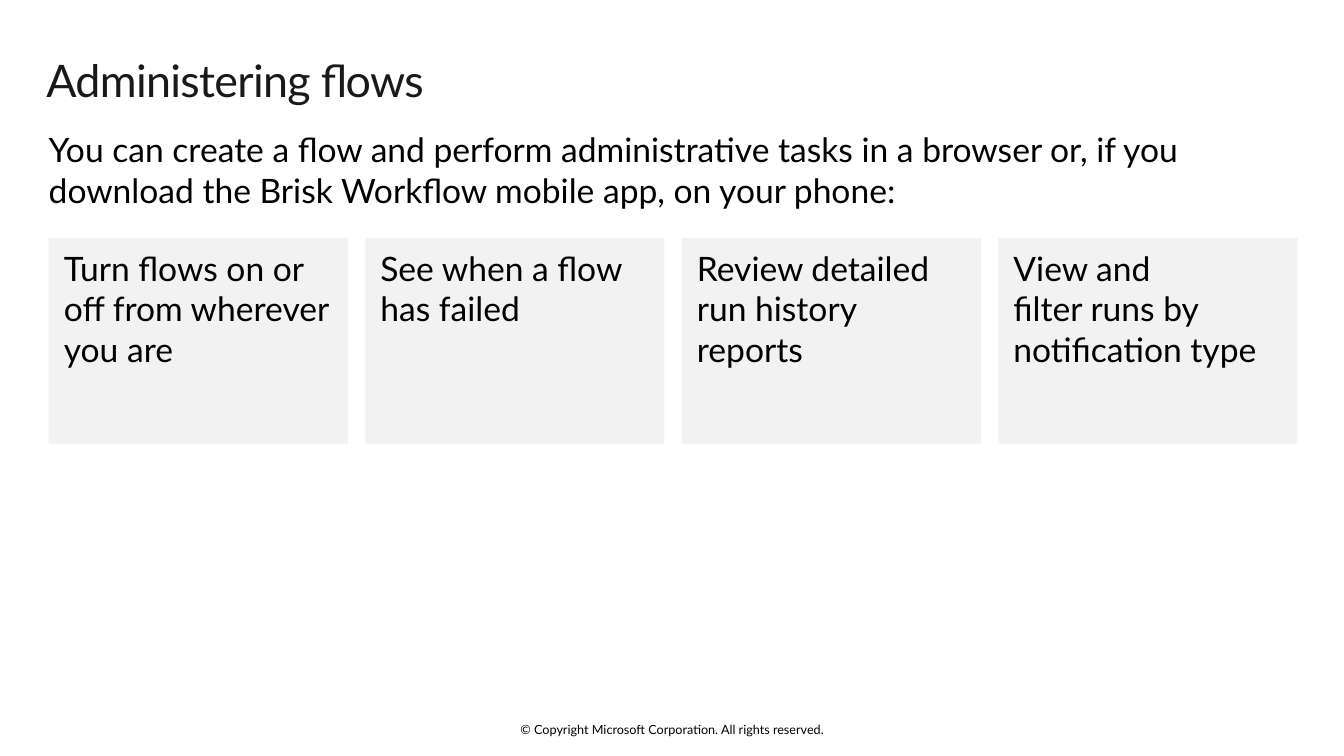
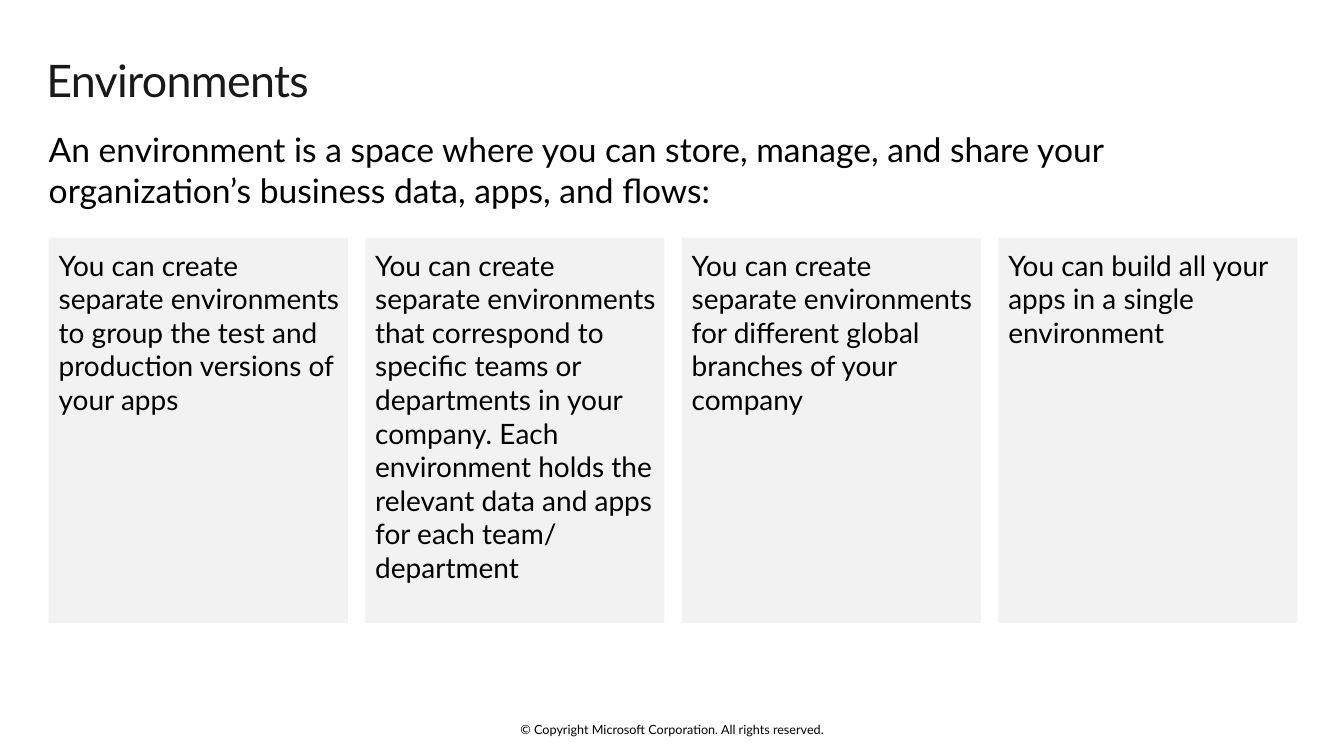
import pptx
import pptx.dml.color
import pptx.enum.shapes
import pptx.enum.text
import pptx.util

Pt = pptx.util.Pt
ALIGN = pptx.enum.text.PP_ALIGN
ANCHOR = pptx.enum.text.MSO_ANCHOR


def rgb(value):
    return pptx.dml.color.RGBColor.from_string(value)


def write(box, text, *, size, color="000000", align=ALIGN.LEFT, anchor=ANCHOR.TOP,
          insets=(0, 0, 0, 0), after=0, line=None, tracking=None):
    frame = box.text_frame
    frame.word_wrap = True
    frame.auto_size = pptx.enum.text.MSO_AUTO_SIZE.NONE
    frame.vertical_anchor = anchor
    (frame.margin_left, frame.margin_top,
     frame.margin_right, frame.margin_bottom) = map(Pt, insets)
    para = frame.paragraphs[0]
    para.text = text
    para.alignment = align
    para.space_before = Pt(0)
    para.space_after = Pt(after)
    if line:
        para.line_spacing = line
    for span in para.runs:
        span.font.name = "Lato"
        span.font.size = Pt(size)
        span.font.color.rgb = rgb(color)
        if tracking is not None:
            span._r.get_or_add_rPr().set("spc", str(round(tracking * 100)))


class Deck:
    LEFT = 34.8
    WIDTH = 892
    GAP = 12.4
    CARD_TOP = 170
    CARD_FILL = "F2F2F2"
    TITLE_COLOR = "191919"
    FOOTER = "© Copyright Microsoft Corporation. All rights reserved."

    def __init__(self):
        self.deck = pptx.Presentation()
        self.deck.slide_width = Pt(960)
        self.deck.slide_height = Pt(540)
        self.page = None

    def add_page(self, title):
        self.page = self.deck.slides.add_slide(self.deck.slide_layouts[5])
        box = self.page.shapes.title
        box.left, box.top, box.width, box.height = map(Pt, (33.1, 34.6, 893, 53.3))
        write(box, title, size=32, color=self.TITLE_COLOR, insets=(0, 7.2, 11.5, 7.2),
              line=0.9, tracking=-0.5)
        self.add_text(self.FOOTER, 318, 515.5, 324, 11, size=9,
                      align=ALIGN.CENTER, anchor=ANCHOR.MIDDLE)

    def add_text(self, text, left, top, width, height, **style):
        box = self.page.shapes.add_textbox(*map(Pt, (left, top, width, height)))
        write(box, text, **style)

    def add_intro(self, text):
        self.add_text(text, self.LEFT, 92.2, self.WIDTH, 58.3, size=24)

    def add_cards(self, texts, height, **style):
        width = (self.WIDTH - self.GAP * (len(texts) - 1)) / len(texts)
        for index, text in enumerate(texts):
            left = self.LEFT + index * (width + self.GAP)
            card = self.page.shapes.add_shape(
                pptx.enum.shapes.MSO_SHAPE.RECTANGLE,
                *map(Pt, (left, self.CARD_TOP, width, height)))
            card.shadow.inherit = False
            card.fill.solid()
            card.fill.fore_color.rgb = rgb(self.CARD_FILL)
            card.line.fill.background()
            write(card, text, after=5.9, **style)

    def save(self):
        self.deck.save("out.pptx")


def main():
    deck = Deck()

    deck.add_page("Administering flows")
    deck.add_intro("You can create a flow and perform administrative tasks in a browser or, "
                   "if you download the Brisk Workflow mobile app, on your phone:")
    deck.add_cards([
        "Turn flows on or off from wherever you are",
        "See when a flow has failed",
        "Review detailed run history reports",
        "View and\vfilter runs by notification type",
    ], 147, size=24, insets=(10.8, 7.2, 10.8, 7.2))

    deck.add_page("Environments")
    deck.add_intro("An environment is a space where you can store, manage, and share your "
                   "organization’s business data, apps, and flows:")
    deck.add_cards([
        "You can create separate environments to group the test and production "
        "versions of your apps",
        "You can create separate environments that correspond to specific teams or "
        "departments in your company. Each environment holds the relevant data and "
        "apps for each team/\vdepartment",
        "You can create separate environments for different global branches of your company",
        "You can build all your apps in a single environment",
    ], 275, size=20, insets=(7.2, 7.2, 3.6, 7.2))

    deck.save()


if __name__ == "__main__":
    main()
